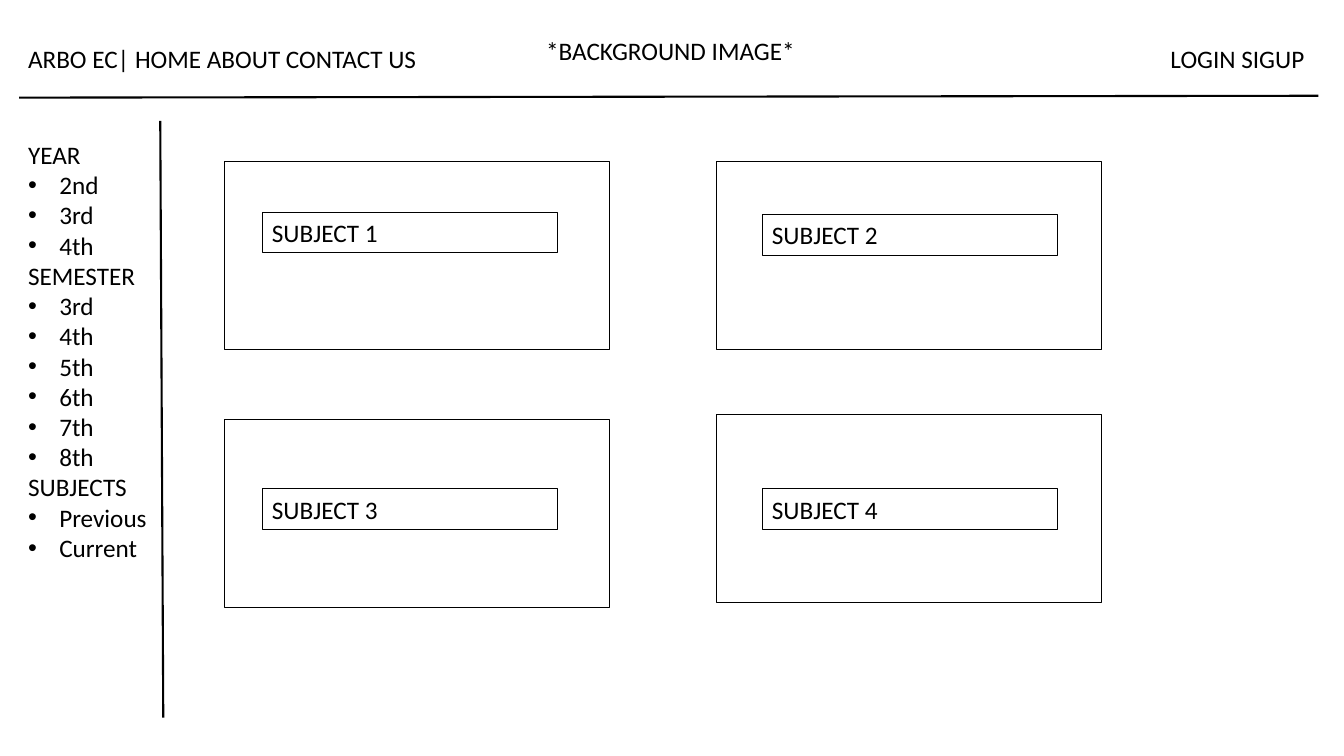
from dataclasses import dataclass

from pptx import Presentation
from pptx.dml.color import RGBColor
from pptx.enum.shapes import MSO_CONNECTOR, MSO_SHAPE
from pptx.enum.text import MSO_ANCHOR, PP_ALIGN
from pptx.oxml.ns import qn
from pptx.util import Inches, Pt
from lxml import etree

RECT, STRAIGHT = MSO_SHAPE.RECTANGLE, MSO_CONNECTOR.STRAIGHT
TOP, LEFT = MSO_ANCHOR.TOP, PP_ALIGN.LEFT
BLANK = 6
COLS, ROWS = 40, 24


@dataclass(frozen=True)
class Theme:
    """Colours, font, type size and line widths."""
    ink: RGBColor = RGBColor(0, 0, 0)
    paper: RGBColor = RGBColor(255, 255, 255)
    font: str = "Calibri"
    size: float = 18
    rule: float = 1.5
    card: float = 1
    label: float = 0.75
    indent: float = 0.31


def write(tf, text, theme, bullet=False, tab=None, first=False):
    """Write one paragraph, with an optional bullet or right tab in inches."""
    p = tf.paragraphs[0] if first else tf.add_paragraph()
    p.alignment = LEFT
    r = p.add_run()
    r.text = text
    r.font.name, r.font.size = theme.font, Pt(theme.size)
    r.font.color.rgb = theme.ink
    pPr = p._p.get_or_add_pPr()
    if bullet:
        pPr.set("marL", str(Inches(theme.indent)))
        pPr.set("indent", str(-Inches(theme.indent)))
        etree.SubElement(pPr, qn("a:buFont"), typeface="Arial")
        etree.SubElement(pPr, qn("a:buChar"), char="•")
    if tab:
        tabs = etree.SubElement(pPr, qn("a:tabLst"))
        etree.SubElement(tabs, qn("a:tab"), pos=str(Inches(tab)), algn="r")


class Page:
    """Holds the theme and the slide, and places elements on the grid."""

    def __init__(self, prs, theme):
        """Add a blank slide and work out the grid steps."""
        self.theme = theme
        self.s = prs.slides.add_slide(prs.slide_layouts[BLANK])
        self.col, self.row = prs.slide_width / COLS, prs.slide_height / ROWS

    def grid(self, *lengths):
        """Turn alternating columns and rows into lengths."""
        return [round(n * (self.row if i % 2 else self.col))
                for i, n in enumerate(lengths)]

    def text(self, box, lines, **fmt):
        """Add a text box; lines are (text, is_bullet) pairs."""
        tf = self.s.shapes.add_textbox(*self.grid(*box)).text_frame
        tf.word_wrap = True
        for i, (text, bullet) in enumerate(lines):
            write(tf, text, self.theme, bullet=bullet, first=i == 0, **fmt)

    def box(self, box, width, text=None):
        """Add an outlined rectangle, with text if given."""
        sp = self.s.shapes.add_shape(RECT, *self.grid(*box))
        sp.shadow.inherit = False
        sp.fill.solid()
        sp.fill.fore_color.rgb = self.theme.paper
        sp.line.color.rgb, sp.line.width = self.theme.ink, Pt(width)
        if text:
            tf = sp.text_frame
            tf.word_wrap, tf.vertical_anchor = True, TOP
            write(tf, text, self.theme, first=True)

    def rule(self, *ends):
        """Add a straight line between two grid points."""
        line = self.s.shapes.add_connector(STRAIGHT, *self.grid(*ends))
        line.line.color.rgb = self.theme.ink
        line.line.width = Pt(self.theme.rule)
        etree.SubElement(line._element.spPr, qn("a:effectLst"))


MENU = {
    "YEAR": ["2nd", "3rd", "4th"],
    "SEMESTER": ["3rd", "4th", "5th", "6th", "7th", "8th"],
    "SUBJECTS": ["Previous", "Current"],
}
CARD_SIZE, LABEL_SIZE = (11.46, 5.98), (8.79, 1.28)
CARD_COLS, LABEL_COLS = (6.69, 21.33), (7.8, 22.68)
CARD_ROWS, LABEL_ROWS = (5.12, 5.12, 13.31, 13.15), (6.75, 6.82, 15.52, 15.52)


def main():
    """Build the wireframe and save it."""
    prs = Presentation()
    prs.slide_width, prs.slide_height = Inches(13.33), Inches(7.5)
    theme = Theme()
    page = Page(prs, theme)

    page.text((0.54, 1.22, 39.48, 1.28),
              [("ARBO EC| HOME ABOUT CONTACT US\tLOGIN SIGUP", False)], tab=12.66)
    menu = []
    for heading, items in MENU.items():
        menu += [(heading, False)] + [(item, True) for item in items]
    page.text((0.54, 4.26, 5.16, 14.85), menu)
    page.rule(4.77, 3.84, 4.86, 22.78)

    for i, (card_row, label_row) in enumerate(zip(CARD_ROWS, LABEL_ROWS)):
        page.box((CARD_COLS[i % 2], card_row, *CARD_SIZE), theme.card)
        page.box((LABEL_COLS[i % 2], label_row, *LABEL_SIZE), theme.label,
                 f"SUBJECT {i + 1}")

    page.rule(0.57, 3.1, 39.24, 3.04)
    page.text((15.96, 0.96, 10.11, 2.27), [("*BACKGROUND IMAGE*", False)])
    prs.save("out.pptx")


main()
